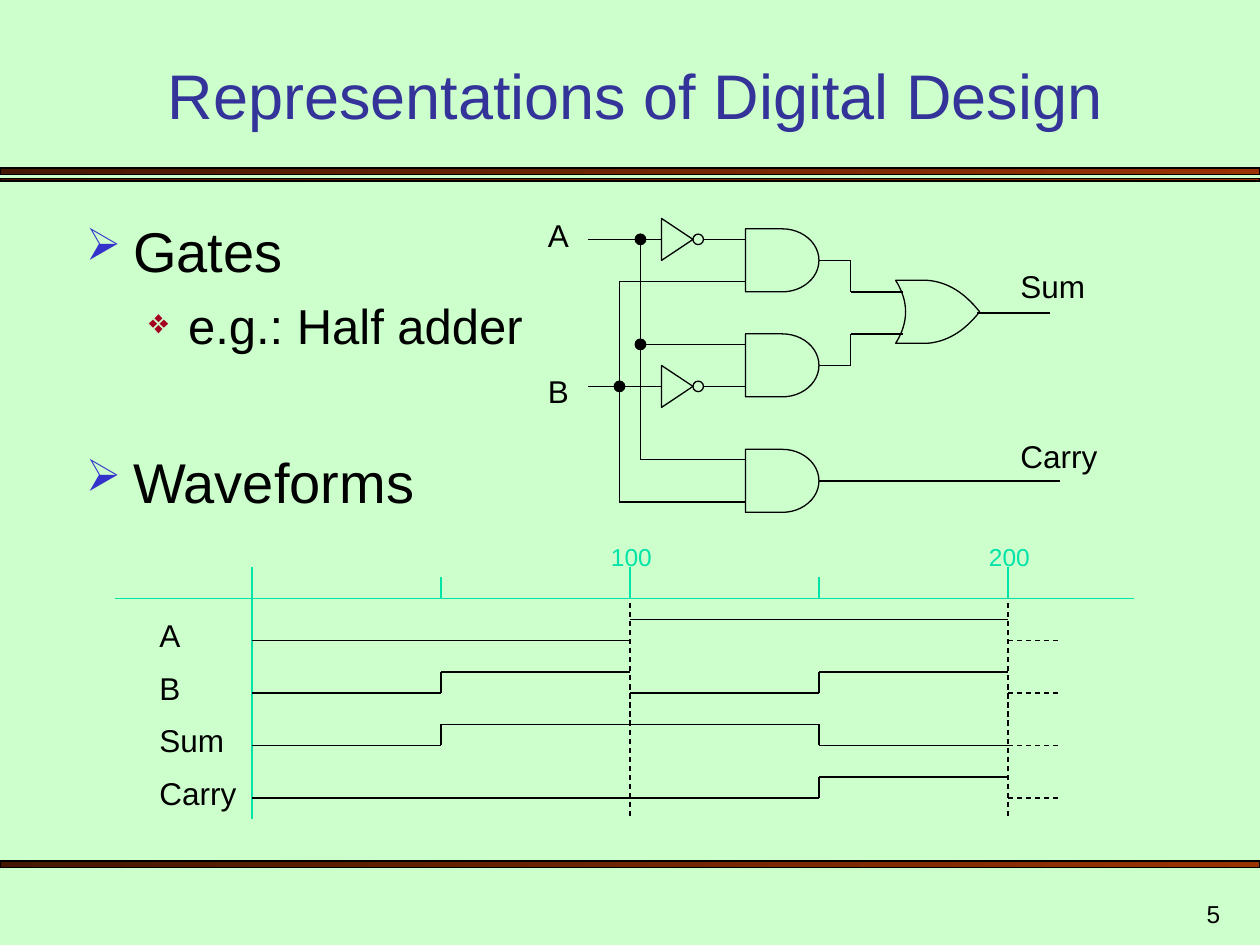
from dataclasses import dataclass
from itertools import groupby, pairwise
from typing import NamedTuple

from lxml.etree import SubElement
from pptx import Presentation
from pptx.dml.color import RGBColor
from pptx.enum.dml import MSO_LINE
from pptx.enum.shapes import MSO_CONNECTOR as Link, MSO_SHAPE as Preset
from pptx.enum.text import MSO_ANCHOR as Anchor, MSO_AUTO_SIZE as AutoSize, PP_ALIGN as Align
from pptx.oxml.ns import qn
from pptx.util import Cm, Pt

COLOURS = {
    "background": "CCFFCC", "title": "333399", "ink": "000000", "axis": "00E4A8",
    "arrow": "3333CC", "diamond": "A50021", "rule_dark": "461700", "rule_light": "993300",
}
CIRCUIT_TOP = 20.8
RIGHT_SIDE = 3


class Point(NamedTuple):
    x: float
    y: float


@dataclass
class Box:
    left: float
    top: float
    width: float
    height: float

    def lengths(self) -> list:
        return [grid(n) for n in (self.left, self.top, self.width, self.height)]


@dataclass
class Bullet:
    text: str
    size: int
    before: int
    symbol: str
    colour: str
    symbol_percent: int
    margin: float
    hanging: float
    level: int = 0


@dataclass
class Signal:
    name: str
    levels: str


BULLETS = [
    Bullet("Gates", 32, 8, "➢", "arrow", 80, 0.95, 0.95),
    Bullet("e.g.: Half adder", 28, 7, "❖", "diamond", 70, 2.06, 0.79, 1),
    Bullet("Waveforms", 32, 53, "➢", "arrow", 80, 0.95, 0.95),
]
RULES = [Box(0, 16, 120, 0.6), Box(0, 17, 120, 0.24), Box(0, 82, 120, 0.6)]
SIGNALS = [Signal("A", "0011"), Signal("B", "0101"), Signal("Sum", "0110"), Signal("Carry", "0001")]


def grid(cells: float) -> Cm:
    """Length of a number of grid cells, twelve to the inch."""
    return Cm(cells * 2.54 / 12)


def in_circuit(*points: tuple) -> list[Point]:
    return [Point(x, CIRCUIT_TOP + y) for x, y in points]


def rgb(colour: str) -> RGBColor:
    return RGBColor.from_string(COLOURS[colour])


def apply(target, values: dict) -> None:
    for attribute, value in values.items():
        setattr(target, attribute, value)


def write(paragraph, text: str, size: int, colour: str = "ink", align=Align.LEFT) -> None:
    paragraph.text = text
    paragraph.alignment = align
    apply(paragraph.font, {"name": "Arial", "size": Pt(size)})
    paragraph.font.color.rgb = rgb(colour)


def add_label(shapes, text: str, box: Box, size: int = 18, colour: str = "ink",
              align=Align.LEFT, anchor=Anchor.TOP) -> None:
    frame = shapes.add_textbox(*box.lengths()).text_frame
    apply(frame, {"word_wrap": True, "vertical_anchor": anchor})
    write(frame.paragraphs[0], text, size, colour, align)


def add_wire(shapes, points: list[Point], colour: str = "ink", dashed: bool = False, source=None) -> None:
    """Join the points with straight lines, the first one leaving the source's right side."""
    for index, (start, end) in enumerate(pairwise(points)):
        wire = shapes.add_connector(Link.STRAIGHT, *[grid(n) for n in (*start, *end)])
        wire.line.width = Pt(0.75)
        wire.line.color.rgb = rgb(colour)
        if dashed:
            wire.line.dash_style = MSO_LINE.DASH
        SubElement(wire._element.spPr, qn("a:effectLst"))
        if source is not None and index == 0:
            wire.begin_connect(source, RIGHT_SIDE)


def outline(shape, filled: bool = False):
    shape.shadow.inherit = False
    shape.line.width = Pt(0.75)
    shape.line.color.rgb = rgb("ink")
    if filled:
        shape.fill.solid()
        shape.fill.fore_color.rgb = rgb("ink")
    else:
        shape.fill.background()
    return shape


def add_circle(shapes, centre: Point, filled: bool = False) -> None:
    box = Box(centre.x - 0.5, centre.y - 0.5, 1, 1)
    outline(shapes.add_shape(Preset.OVAL, *box.lengths()), filled)


def add_polygon(shapes, corners: list[Point]) -> None:
    vertices = [(grid(x), grid(y)) for x, y in corners]
    builder = shapes.build_freeform(*vertices[0], scale=1.0)
    builder.add_line_segments(vertices[1:], close=True)
    outline(builder.convert_to_shape())


def curve(start: Point, control: Point, end: Point, steps: int = 16) -> list[Point]:
    """Points along a quadratic curve."""
    fractions = [step / steps for step in range(steps + 1)]
    return [Point(*((1 - t) ** 2 * a + 2 * t * (1 - t) * b + t * t * c
                    for a, b, c in zip(start, control, end))) for t in fractions]


def add_rules(shapes) -> None:
    for box in RULES:
        rule = outline(shapes.add_shape(Preset.RECTANGLE, *box.lengths()))
        rule.fill.gradient()
        rule.fill.gradient_angle = 0
        for stop, colour in zip(rule.fill.gradient_stops, ("rule_dark", "rule_light")):
            stop.color.rgb = rgb(colour)


def add_bullets(shapes) -> None:
    frame = shapes.add_textbox(*Box(7, 20, 46, 59).lengths()).text_frame
    frame.word_wrap = True
    for index, bullet in enumerate(BULLETS):
        paragraph = frame.add_paragraph() if index else frame.paragraphs[0]
        write(paragraph, bullet.text, bullet.size)
        apply(paragraph, {"level": bullet.level, "space_before": Pt(bullet.before)})
        properties = paragraph._p.get_or_add_pPr()
        properties.set("marL", str(Cm(bullet.margin)))
        properties.set("indent", str(-Cm(bullet.hanging)))
        tint = SubElement(properties, qn("a:buClr"))
        SubElement(tint, qn("a:srgbClr"), val=COLOURS[bullet.colour])
        SubElement(properties, qn("a:buSzPct"), val=str(bullet.symbol_percent * 1000))
        SubElement(properties, qn("a:buChar"), char=bullet.symbol)


def add_waveforms(shapes) -> None:
    axis = 57
    ticks = range(24, 97, 18)
    add_wire(shapes, [Point(11, axis), Point(108, axis)], "axis")
    add_wire(shapes, [Point(ticks[0], 54), Point(ticks[0], 78)], "axis")
    for x in ticks[1::2]:
        add_wire(shapes, [Point(x, axis), Point(x, axis - 2)], "axis")
    for x, time in zip(ticks[2::2], ("100", "200")):
        add_wire(shapes, [Point(x, 54), Point(x, 78)], dashed=True)
        add_wire(shapes, [Point(x, axis), Point(x, 54)], "axis")
        add_label(shapes, time, Box(x - 3, 51, 8, 4), 14, "axis")
    for row, signal in enumerate(SIGNALS):
        low = 61 + 5 * row
        add_label(shapes, signal.name, Box(14, low - 2.9, 10, 4.8))
        first = 0
        for level, run in groupby(signal.levels):
            last = first + len(list(run))
            y = low - 2 * int(level)
            add_wire(shapes, [Point(ticks[first], y), Point(ticks[last], y)])
            if first % 2:  # the dashed time lines stand in for the other steps
                add_wire(shapes, [Point(ticks[first], low), Point(ticks[first], low - 2)])
            first = last
        add_wire(shapes, [Point(ticks[-1], low), Point(101, low)], dashed=True)


def add_half_adder(shapes) -> None:
    for y in (2, 16):
        add_polygon(shapes, in_circuit((63, y - 2), (66, y), (63, y + 2)))
        add_circle(shapes, in_circuit((66.5, y))[0])
        add_wire(shapes, in_circuit((56, y), (63, y)))
        add_wire(shapes, in_circuit((67, y), (71, y)))
    outputs = {1: [(78, 4), (81, 4), (81, 7), (86, 7)],
               11: [(78, 14), (81, 14), (81, 11), (86, 11)],
               22: [(78, 25), (101, 25)]}
    for top, route in outputs.items():
        box = Box(71, CIRCUIT_TOP + top, 7, 6)
        gate = outline(shapes.add_shape(Preset.FLOWCHART_DELAY, *box.lengths()))
        add_wire(shapes, in_circuit(*route), source=gate)
    for route in ([(61, 2), (61, 23), (71, 23)], [(61, 12), (71, 12)],
                  [(71, 6), (59, 6), (59, 27), (71, 27)], [(93, 9), (100, 9)]):
        add_wire(shapes, in_circuit(*route))
    upper_back, upper, upper_pull, tip, lower_pull, lower, lower_back, back_pull = in_circuit(
        (85.3, 5.9), (88.3, 5.9), (91.1, 6.1), (93.3, 8.9),
        (91.1, 11.7), (88.3, 11.9), (85.3, 11.9), (87.2, 8.9))
    add_polygon(shapes, curve(upper, upper_pull, tip) + curve(tip, lower_pull, lower)
                + curve(lower_back, back_pull, upper_back))
    for junction in in_circuit((61, 2), (61, 12), (59, 16)):
        add_circle(shapes, junction, filled=True)
    for name, (x, y) in zip("AB", in_circuit((51, -0.8), (51, 14))):
        add_label(shapes, name, Box(x, y, 5, 4.8))
    for name, (x, y) in zip(("Sum", "Carry"), in_circuit((96, 4), (96, 20.2))):
        add_label(shapes, name, Box(x, y, 10, 4.8))


def main() -> None:
    deck = Presentation()
    apply(deck, {"slide_width": Cm(25.4), "slide_height": Cm(19.05)})
    slide = deck.slides.add_slide(deck.slide_layouts[5])
    slide.background.fill.solid()
    slide.background.fill.fore_color.rgb = rgb("background")
    title = slide.shapes.title
    apply(title, dict(zip(("left", "top", "width", "height"), Box(7, 5, 107, 8.2).lengths())))
    apply(title.text_frame, {"vertical_anchor": Anchor.BOTTOM, "auto_size": AutoSize.NONE})
    write(title.text_frame.paragraphs[0], "Representations of Digital Design", 36, "title", Align.CENTER)
    add_rules(slide.shapes)
    add_bullets(slide.shapes)
    add_waveforms(slide.shapes.add_group_shape().shapes)
    add_half_adder(slide.shapes.add_group_shape().shapes)
    add_label(slide.shapes, "5", Box(92.4, 84, 25, 5), 14, align=Align.RIGHT, anchor=Anchor.BOTTOM)
    deck.save("out.pptx")


if __name__ == "__main__":
    main()
